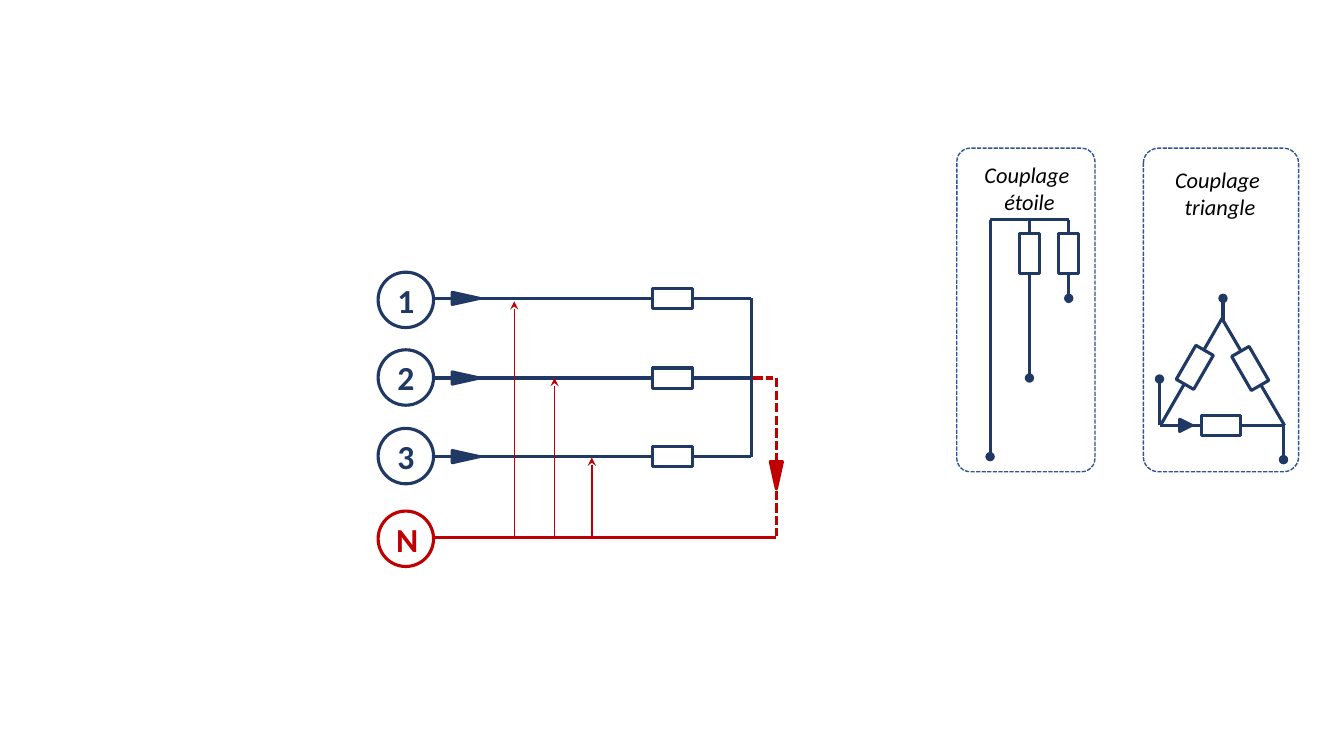
"""Build a slide of three-phase wiring with star and delta couplings."""
from dataclasses import dataclass

from lxml import etree
from pptx import Presentation
from pptx.dml.color import RGBColor
from pptx.enum.dml import MSO_LINE
from pptx.enum.shapes import MSO_CONNECTOR, MSO_SHAPE
from pptx.enum.text import MSO_ANCHOR, MSO_AUTO_SIZE, PP_ALIGN
from pptx.oxml.ns import qn
from pptx.util import Emu, Pt

STRAIGHT = MSO_CONNECTOR.STRAIGHT
ELLIPSE = MSO_SHAPE.OVAL
RECTANGLE = MSO_SHAPE.RECTANGLE
ROUNDED = MSO_SHAPE.ROUNDED_RECTANGLE
TRIANGLE = MSO_SHAPE.ISOSCELES_TRIANGLE
DASHED = MSO_LINE.SQUARE_DOT
CENTER = PP_ALIGN.CENTER
MIDDLE = MSO_ANCHOR.MIDDLE
GROW = MSO_AUTO_SIZE.SHAPE_TO_FIT_TEXT


@dataclass(frozen=True)
class Theme:
    phase: RGBColor = RGBColor(0x20, 0x38, 0x64)
    neutral: RGBColor = RGBColor(0xC0, 0x00, 0x00)
    frame: RGBColor = RGBColor(0x2F, 0x55, 0x97)
    title: RGBColor = RGBColor(0x00, 0x00, 0x00)
    paper: RGBColor = RGBColor(0xFF, 0xFF, 0xFF)
    font: str = "Calibri"
    terminal_size: int = 24
    title_size: int = 16
    wire_width: float = 2.25
    thin_width: float = 1


THEME = Theme()
PHASE_ROWS = (296, 375, 453)
NEUTRAL_ROW = 533
TERMINAL_TOPS = (270, 347, 425, 507)


def px(length):
    return Emu(round(length * 9144))


def set_line(line, color, width=THEME.wire_width, dashed=False):
    line.color.rgb = color
    line.width = Pt(width)
    if dashed:
        line.dash_style = DASHED


def add_wire(shapes, start, end, color=THEME.phase, width=THEME.wire_width,
             dashed=False, head=None, tail=None):
    wire = shapes.add_connector(STRAIGHT, *map(px, (*start, *end)))
    set_line(wire.line, color, width, dashed)
    for tag, kind in (("a:headEnd", head), ("a:tailEnd", tail)):
        if kind:
            etree.SubElement(wire.line._get_or_add_ln(), qn(tag), type=kind)
    etree.SubElement(wire._element.spPr, qn("a:effectLst"))


def add_outline(shapes, kind, box, color, fill=None, width=THEME.wire_width, dashed=False):
    shape = shapes.add_shape(kind, *map(px, box))
    shape.shadow.inherit = False
    if fill is None:
        shape.fill.background()
    else:
        shape.fill.solid()
        shape.fill.fore_color.rgb = fill
    set_line(shape.line, color, width, dashed)
    return shape


def add_resistor(shapes, x, y, rotation=0):
    box = (x - 10, y - 19.5, 20, 39)
    add_outline(shapes, RECTANGLE, box, THEME.phase, THEME.paper).rotation = rotation


def add_arrow(shapes, x, y, height=27, rotation=90, color=THEME.phase):
    box = (x - 6, y - height / 2, 12, height)
    add_outline(shapes, TRIANGLE, box, color, color).rotation = rotation


def format_font(paragraph, size, color, bold=False, italic=False):
    paragraph.alignment = CENTER
    for run in paragraph.runs:
        font = run.font
        font.name, font.size, font.color.rgb = THEME.font, Pt(size), color
        font.bold, font.italic = bold, italic


def add_terminal(shapes, label, top, color):
    circle = add_outline(shapes, ELLIPSE, (375, top, 55, 55), color)
    text_frame = circle.text_frame
    text_frame.text = label
    text_frame.vertical_anchor = MIDDLE
    format_font(text_frame.paragraphs[0], THEME.terminal_size, color, bold=True)


def add_title(shapes, text, left, top):
    text_frame = shapes.add_textbox(*map(px, (left, top, 182, 64))).text_frame
    text_frame.word_wrap = True
    text_frame.auto_size = GROW
    text_frame.text = text
    for paragraph in text_frame.paragraphs:
        format_font(paragraph, THEME.title_size, THEME.title, italic=True)


def add_frame(shapes, left, width):
    frame = add_outline(shapes, ROUNDED, (left, 147, width, 321), THEME.frame,
                        width=THEME.thin_width, dashed=True)
    frame.adjustments[0] = 0.097


def add_network(shapes):
    red = THEME.neutral
    for row in PHASE_ROWS:
        add_wire(shapes, (430, row), (745, row))
        add_arrow(shapes, 462, row)
        add_resistor(shapes, 667, row, 270)
    add_wire(shapes, (430, NEUTRAL_ROW), (770, NEUTRAL_ROW), red)
    for label, top in zip("123N", TERMINAL_TOPS):
        add_terminal(shapes, label, top, red if label == "N" else THEME.phase)
    for x, row in zip((510, 550, 587), (299, 375, 454)):
        add_wire(shapes, (x, NEUTRAL_ROW), (x, row), red, THEME.thin_width, tail="stealth")
    add_wire(shapes, (745, PHASE_ROWS[0]), (745, PHASE_ROWS[-1]))
    add_wire(shapes, (747, 375), (767, 375), red, dashed=True)
    add_wire(shapes, (770, 375), (770, 532), red, dashed=True)
    add_arrow(shapes, 770, 471.5, rotation=180, color=red)


def add_star(shapes):
    columns = (982, 1021, 1060)
    for x, row in zip(columns, reversed(PHASE_ROWS)):
        add_wire(shapes, (x, row), (x, 218), head="oval")
    for x in columns[1:]:
        add_resistor(shapes, x, 251.5)
    add_wire(shapes, (columns[-1], 218), (columns[0], 218))
    add_title(shapes, "Couplage \nétoile", 930, 155)
    add_frame(shapes, 949, 137)


def add_delta(shapes):
    loop = shapes.add_group_shape().shapes
    apex, left, right = (1212, 316), (1151, 422), (1274, 422)
    for start, end in ((left, apex), (right, apex), (right, left)):
        add_wire(loop, start, end)
    for x, y, rotation in ((1185, 364.5, 30), (1240, 365.5, 330), (1211, 422.5, 90)):
        add_resistor(loop, x, y, rotation)
    for x, start, end in ((1150, 376, 422), (1273, 456, 420), (1213, 296, 319)):
        add_wire(shapes, (x, start), (x, end), head="oval")
    add_arrow(shapes, 1176, 422, height=12)
    add_frame(shapes, 1134, 154)
    add_title(shapes, "Couplage \ntriangle", 1119, 160)


def main():
    presentation = Presentation()
    presentation.slide_width, presentation.slide_height = px(1333), px(750)
    slide = presentation.slides.add_slide(presentation.slide_layouts[6])
    add_network(slide.shapes)
    add_star(slide.shapes)
    add_delta(slide.shapes)
    presentation.save("out.pptx")


if __name__ == "__main__":
    main()
